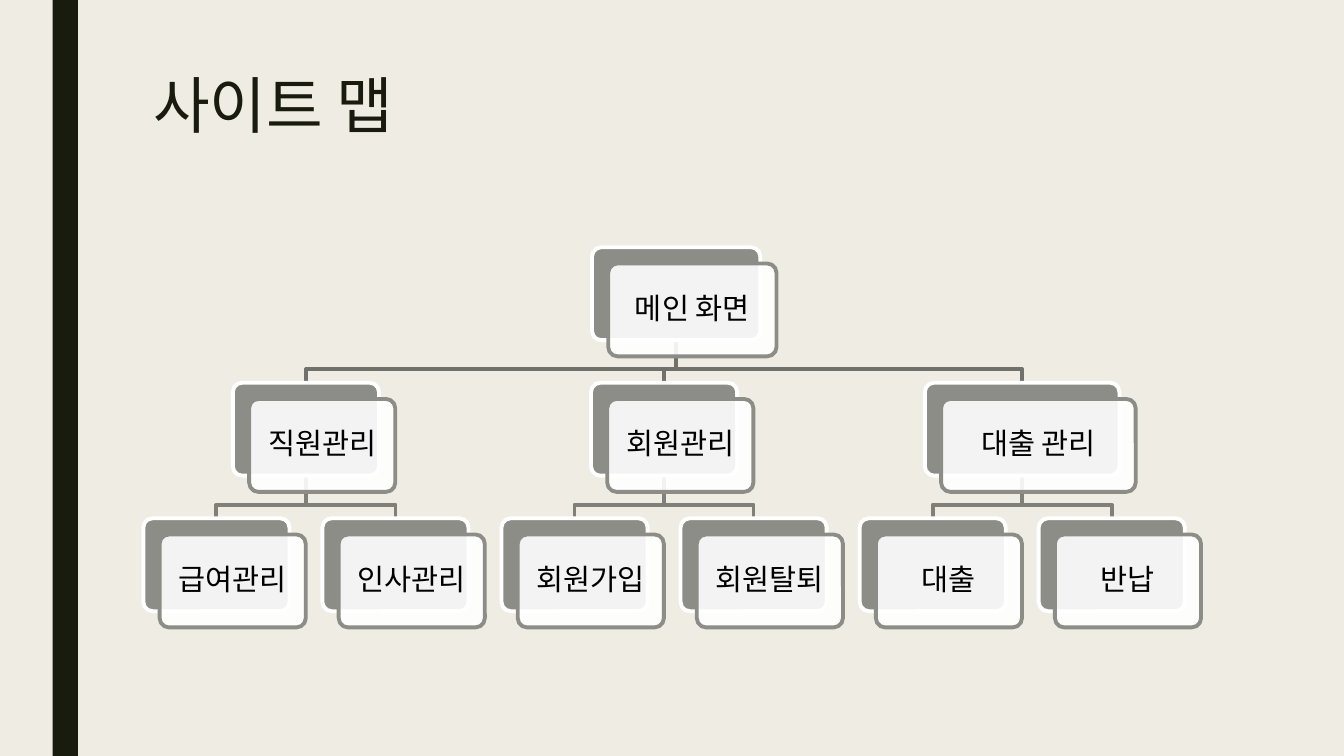
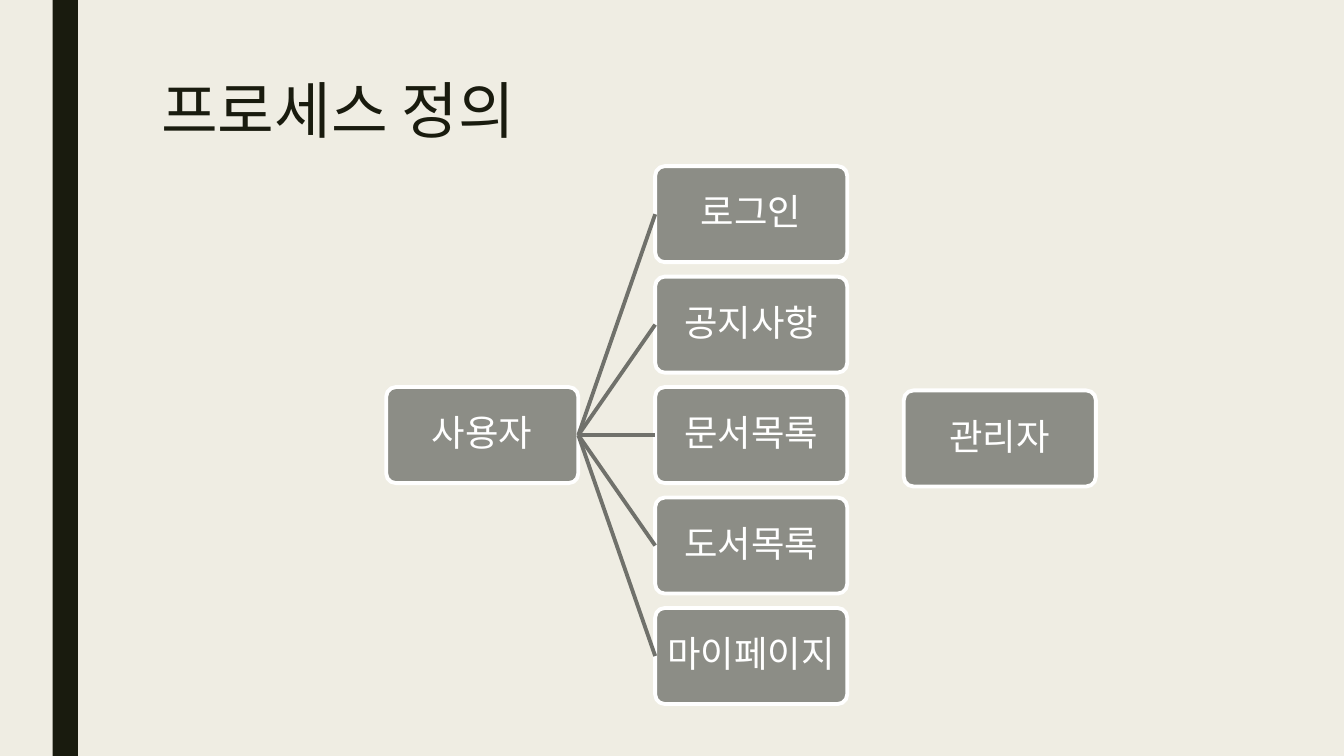
from dataclasses import dataclass

from lxml import etree
from pptx import Presentation
from pptx.dml.color import RGBColor
from pptx.enum.shapes import MSO_CONNECTOR, MSO_SHAPE
from pptx.enum.text import MSO_ANCHOR, PP_ALIGN
from pptx.oxml.ns import qn
from pptx.presentation import Presentation as Deck
from pptx.shapes.autoshape import Shape
from pptx.slide import Slide
from pptx.util import Pt

RECTANGLE = MSO_SHAPE.RECTANGLE
ROUNDED = MSO_SHAPE.ROUNDED_RECTANGLE
STRAIGHT = MSO_CONNECTOR.STRAIGHT
TOP, MIDDLE = MSO_ANCHOR.TOP, MSO_ANCHOR.MIDDLE
LEFT, CENTER = PP_ALIGN.LEFT, PP_ALIGN.CENTER

FONT = "Lato"
PAPER = "EFEDE3"
INK = "191B0E"
GRAY = "8C8D86"
WHITE = "FFFFFF"
BLACK = "000000"
BRANCH_COLORS = ["70716B", "7F807A"]
LINE_WIDTH = 2.75
CORNER = 0.1
TITLE_ONLY = 5
BAND_ID = "20"

LEAF_LEFT = 102.4
LEAF_PITCH = 127.9
LEVEL_TOP = 176.6
LEVEL_PITCH = 96.8
CARD_HEIGHT = 66.4
CARD_OFFSET = 11.6
BRANCH_DROP = 20.7

BOX_WIDTH = 137.2
BOX_HEIGHT = 68.6
BOX_PITCH = 78.9
HUB_LEFT = 275.9
HUB_TOP = 276.5
COLUMN_LEFT = 468


@dataclass
class Box:
    left: float
    top: float
    width: float
    height: float

    @property
    def right(self) -> float:
        return self.left + self.width

    @property
    def bottom(self) -> float:
        return self.top + self.height

    @property
    def center(self) -> float:
        return self.left + self.width / 2

    @property
    def middle(self) -> float:
        return self.top + self.height / 2


@dataclass
class Page:
    label: str
    width: float = 104.4
    children: tuple["Page", ...] = ()


@dataclass
class PlacedPage:
    label: str
    level: int
    box: Box
    children: list["PlacedPage"]


SITE_MAP = Page("메인 화면", 120.2, (
    Page("직원관리", children=(Page("급여관리"), Page("인사관리"))),
    Page("회원관리", children=(Page("회원가입"), Page("회원탈퇴"))),
    Page("대출 관리", 139, (Page("대출"), Page("반납"))),
))
USER_TASKS = ["로그인", "공지사항", "문서목록", "도서목록", "마이페이지"]


def color(value: str) -> RGBColor:
    return RGBColor.from_string(value)


def format_text(shape: Shape, text: str, size: float, text_color: str,
                alignment: PP_ALIGN, anchor: MSO_ANCHOR, spacing: float) -> None:
    frame = shape.text_frame
    frame.text = text
    frame.word_wrap = True
    frame.vertical_anchor = anchor
    paragraph = frame.paragraphs[0]
    paragraph.alignment = alignment
    paragraph.line_spacing = spacing
    paragraph.font.name = FONT
    paragraph.font.size = Pt(size)
    paragraph.font.color.rgb = color(text_color)


def set_margins(shape: Shape, margin: float) -> None:
    frame = shape.text_frame
    frame.margin_left = frame.margin_right = Pt(margin)
    frame.margin_top = frame.margin_bottom = Pt(margin)


def add_box(slide: Slide, kind: MSO_SHAPE, box: Box, fill: str) -> Shape:
    shape = slide.shapes.add_shape(
        kind, Pt(box.left), Pt(box.top), Pt(box.width), Pt(box.height))
    shape.shadow.inherit = False
    shape.fill.solid()
    shape.fill.fore_color.rgb = color(fill)
    shape.line.fill.background()
    return shape


def add_rounded(slide: Slide, box: Box, fill: str, outline: str) -> Shape:
    shape = add_box(slide, ROUNDED, box, fill)
    shape.adjustments[0] = CORNER
    shape.line.color.rgb = color(outline)
    shape.line.width = Pt(LINE_WIDTH)
    return shape


def set_opacity(shape: Shape, percent: int) -> None:
    fill_color = shape.element.spPr.find(qn("a:solidFill"))[0]
    etree.SubElement(fill_color, qn("a:alpha")).set("val", str(percent * 1000))


def add_master_style(presentation: Deck, slide: Slide) -> None:
    master = presentation.slide_master
    master.background.fill.solid()
    master.background.fill.fore_color.rgb = color(PAPER)
    band = add_box(slide, RECTANGLE, Box(37.6, 0, 18, 540), INK)
    band.element.xpath(".//p:cNvPr")[0].set("id", BAND_ID)
    master.shapes.element.insert(2, band.element)


def add_titled_slide(presentation: Deck, text: str, box: Box) -> Slide:
    slide = presentation.slides.add_slide(presentation.slide_layouts[TITLE_ONLY])
    title = slide.shapes.title
    title.left, title.top = Pt(box.left), Pt(box.top)
    title.width, title.height = Pt(box.width), Pt(box.height)
    format_text(title, text, 44, INK, LEFT, TOP, 0.89)
    return slide


def place_pages(page: Page, level: int = 0, first_leaf: int = 0) -> PlacedPage:
    children = []
    leaf = first_leaf
    for child in page.children:
        children.append(place_pages(child, level + 1, leaf))
        leaf += max(1, len(child.children))
    if children:
        center = (children[0].box.left + children[-1].box.right) / 2
        left = center - page.width / 2
    else:
        left = LEAF_LEFT + first_leaf * LEAF_PITCH
    top = LEVEL_TOP + level * LEVEL_PITCH
    box = Box(left, top, page.width, CARD_HEIGHT)
    return PlacedPage(page.label, level, box, children)


def draw_branches(slide: Slide, page: PlacedPage) -> None:
    for child in page.children:
        draw_branches(slide, child)
        start, end = page.box, child.box
        turn = start.bottom + BRANCH_DROP
        builder = slide.shapes.build_freeform(Pt(start.center), Pt(start.bottom))
        builder.add_line_segments([
            (Pt(start.center), Pt(turn)),
            (Pt(end.center), Pt(turn)),
            (Pt(end.center), Pt(end.top)),
        ], close=False)
        branch = builder.convert_to_shape()
        branch.shadow.inherit = False
        branch.fill.background()
        branch.line.color.rgb = color(BRANCH_COLORS[page.level])
        branch.line.width = Pt(LINE_WIDTH)


def draw_cards(slide: Slide, page: PlacedPage) -> None:
    box = page.box
    add_rounded(slide, box, GRAY, WHITE)
    front = Box(box.left + CARD_OFFSET, box.top + CARD_OFFSET, box.width, box.height)
    card = add_rounded(slide, front, WHITE, GRAY)
    set_opacity(card, 90)
    set_margins(card, 6.3)
    format_text(card, page.label, 21, BLACK, CENTER, MIDDLE, 0.9)
    for child in page.children:
        draw_cards(slide, child)


def draw_process_box(slide: Slide, label: str, left: float, top: float) -> Box:
    box = Box(left, top, BOX_WIDTH, BOX_HEIGHT)
    shape = add_rounded(slide, box, GRAY, WHITE)
    set_margins(shape, 1.3)
    format_text(shape, label, 26, WHITE, CENTER, MIDDLE, 0.9)
    return box


def draw_link(slide: Slide, start: Box, end: Box) -> None:
    link = slide.shapes.add_connector(
        STRAIGHT, Pt(start.right), Pt(start.middle), Pt(end.left), Pt(end.middle))
    link.line.color.rgb = color(BRANCH_COLORS[0])
    link.line.width = Pt(LINE_WIDTH)
    etree.SubElement(link.element.spPr, qn("a:effectLst"))


def build_site_map(presentation: Deck) -> Slide:
    slide = add_titled_slide(presentation, "사이트 맵", Box(102.2, 50.4, 756, 103))
    root = place_pages(SITE_MAP)
    draw_branches(slide, root)
    draw_cards(slide, root)
    return slide


def build_process(presentation: Deck) -> None:
    slide = add_titled_slide(presentation, "프로세스 정의", Box(108, 54, 756, 116.6))
    user = draw_process_box(slide, "사용자", HUB_LEFT, HUB_TOP)
    first_top = HUB_TOP - BOX_PITCH * (len(USER_TASKS) - 1) / 2
    for index, label in enumerate(USER_TASKS):
        task = draw_process_box(slide, label, COLUMN_LEFT, first_top + index * BOX_PITCH)
        draw_link(slide, user, task)
    draw_process_box(slide, "관리자", 645.6, 278.9)


def main() -> None:
    presentation = Presentation()
    presentation.slide_width = Pt(960)
    presentation.slide_height = Pt(540)
    site_map = build_site_map(presentation)
    add_master_style(presentation, site_map)
    build_process(presentation)
    presentation.save("out.pptx")


main()
